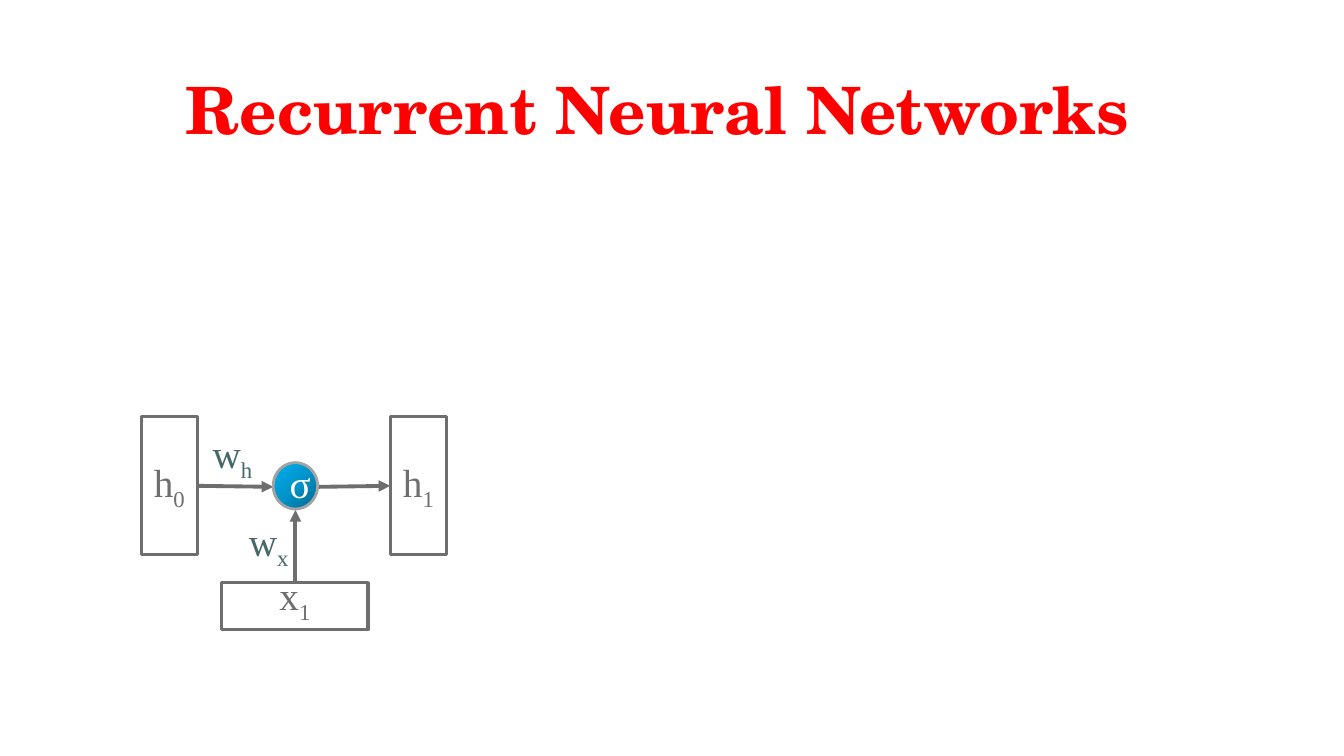
from copy import deepcopy
from dataclasses import dataclass

from lxml import etree
from pptx import Presentation
from pptx import util as u
from pptx.dml import color
from pptx.enum import shapes, text
from pptx.oxml import ns

GREY, TEAL, WHITE, RED = "6E6E6E", "456968", "FFFFFF", "FF0000"
MIDDLE, TOP, BOTTOM = (
    text.MSO_ANCHOR.MIDDLE,
    text.MSO_ANCHOR.TOP,
    text.MSO_ANCHOR.BOTTOM,
)


@dataclass
class Label:
    main: str
    sub: str = ""
    color: str = GREY
    size: float = 28
    font: str = "Times New Roman"
    bold: bool = False
    anchor: text.MSO_ANCHOR = MIDDLE
    bottom: float = 0.05


@dataclass
class Box:
    left: float
    top: float
    width: float
    height: float
    label: Label


@dataclass
class Arrow:
    x1: float
    y1: float
    x2: float
    y2: float


TEXTS = [
    Box(2.3, 5.08, 0.73, 0.88, Label("w", "x", TEAL, anchor=TOP)),
    Box(1.94, 4.21, 0.73, 0.88, Label("w", "h", TEAL, anchor=TOP)),
    Box(0.37, 0.57, 12.3, 1.02,
        Label("Recurrent Neural Networks", "", RED, 46.6, "TeX Gyre Schola", True)),
]
STATES = [
    Box(2.2, 5.78, 1.45, 0.47, Label("x", "1", anchor=BOTTOM)),
    Box(1.4, 4.13, 0.56, 1.37, Label("h", "0")),
    Box(3.87, 4.13, 0.56, 1.37, Label("h", "1")),
]
ARROWS = [
    Arrow(1.95, 4.82, 2.71, 4.83),
    Arrow(2.93, 5.78, 2.93, 5.06),
    Arrow(3.15, 4.83, 3.87, 4.82),
]
NEURON = Box(2.71, 4.59, 0.44, 0.46, Label("σ", "", WHITE, bottom=0.1))
GRADIENT = [(0, "00688E"), (0.5, "0094CA"), (1, "00B0F0")]


def rgb(value: str) -> color.RGBColor:
    return color.RGBColor.from_string(value)


def place(box: Box) -> list:
    return [u.Inches(v) for v in (box.left, box.top, box.width, box.height)]


def write(shape, label: Label) -> None:
    tf = shape.text_frame
    frame = {
        "word_wrap": True,
        "vertical_anchor": label.anchor,
        "margin_left": u.Inches(0.1),
        "margin_right": u.Inches(0.1),
        "margin_top": u.Inches(0.05),
        "margin_bottom": u.Inches(label.bottom),
    }
    for name, value in frame.items():
        setattr(tf, name, value)
    p = tf.paragraphs[0]
    p.alignment = text.PP_ALIGN.CENTER
    style = {"name": label.font, "size": u.Pt(label.size), "bold": label.bold}
    for part, baseline in ((label.main, 0), (label.sub, -25000)):
        if not part:
            continue
        r = p.add_run()
        r.text = part
        for name, value in style.items():
            setattr(r.font, name, value)
        r.font.color.rgb = rgb(label.color)
        if baseline:
            r._r.get_or_add_rPr().set("baseline", str(baseline))


def add_shape(s, kind: shapes.MSO_SHAPE, box: Box, line: str, width: float):
    sp = s.shapes.add_shape(kind, *place(box))
    sp.shadow.inherit = False
    sp.fill.solid()
    sp.fill.fore_color.rgb = rgb(WHITE)
    sp.line.color.rgb = rgb(line)
    sp.line.width = u.Pt(width)
    write(sp, box.label)
    return sp


def add_arrow(s, a: Arrow) -> None:
    ends = [u.Inches(v) for v in (a.x1, a.y1, a.x2, a.y2)]
    c = s.shapes.add_connector(shapes.MSO_CONNECTOR.STRAIGHT, *ends)
    c.line.color.rgb = rgb(GREY)
    c.line.width = u.Pt(2.75)
    etree.SubElement(c.line._get_or_add_ln(), ns.qn("a:tailEnd"), type="triangle")
    etree.SubElement(c._element.spPr, ns.qn("a:effectLst"))


def fill_gradient(sp) -> None:
    sp.fill.gradient()
    sp.fill.gradient_angle = 135
    stops = sp._element.spPr.find(".//" + ns.qn("a:gsLst"))
    stops.append(deepcopy(stops[0]))
    for stop, (position, value) in zip(sp.fill.gradient_stops, GRADIENT):
        stop.position = position
        stop.color.rgb = rgb(value)


def main() -> None:
    prs = Presentation()
    prs.slide_width, prs.slide_height = u.Inches(13.33), u.Inches(7.5)
    s = prs.slides.add_slide(prs.slide_layouts[6])
    for box in TEXTS:
        write(s.shapes.add_textbox(*place(box)), box.label)
    for box in STATES:
        add_shape(s, shapes.MSO_SHAPE.RECTANGLE, box, GREY, 2.25)
    for arrow in ARROWS:
        add_arrow(s, arrow)
    fill_gradient(add_shape(s, shapes.MSO_SHAPE.OVAL, NEURON, "A3A3A3", 2))
    prs.save("out.pptx")


if __name__ == "__main__":
    main()
